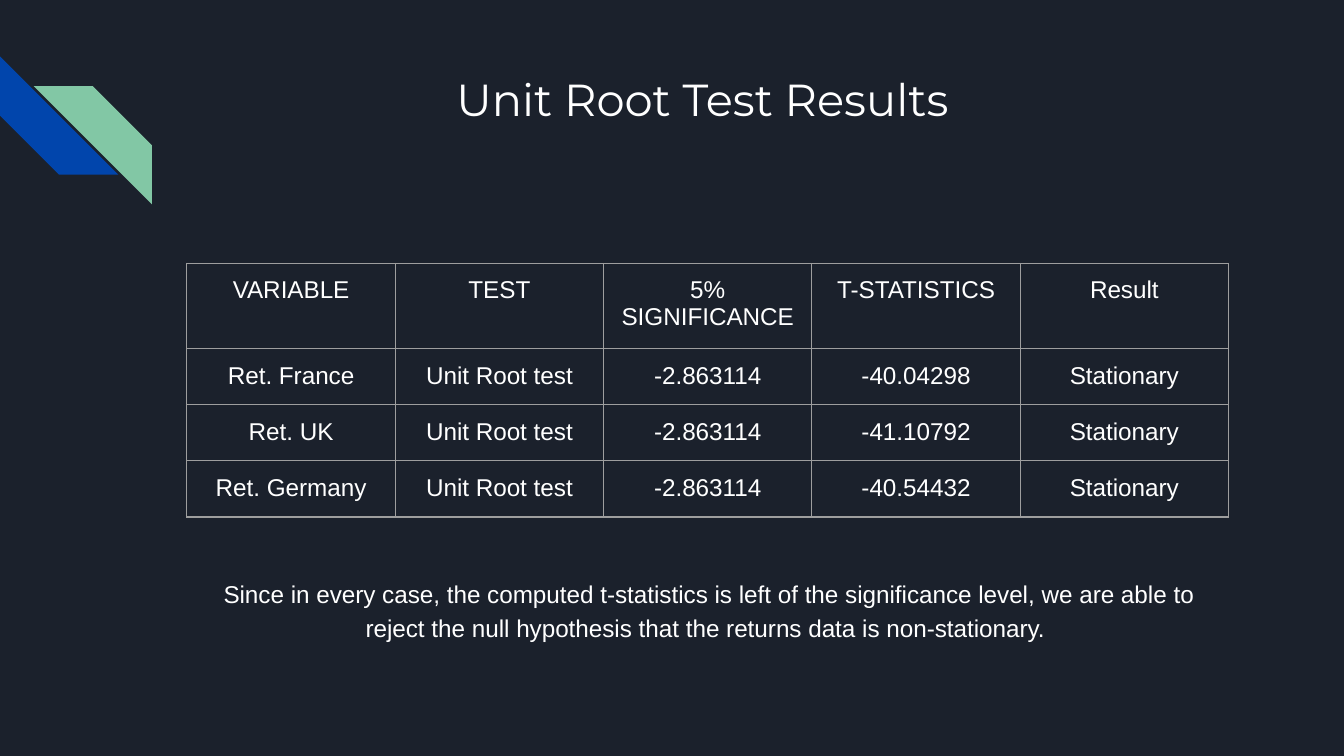
from lxml.etree import SubElement
from pptx import Presentation
from pptx.dml.color import RGBColor
from pptx.enum.shapes import MSO_SHAPE
from pptx.enum.text import MSO_ANCHOR, PP_ALIGN
from pptx.oxml.ns import qn
from pptx.util import Inches, Pt

THEME = {
    "background": "1B212C", "text": "FFFFFF", "grid": "9E9E9E",
    "blue": "0145AC", "green": "82C7A5",
    "title_font": "Montserrat", "body_font": "Arial",
    "title_size": 24, "body_size": 13, "grid_width": 0.75,
}


def write(tf, text, font=THEME["body_font"], size=THEME["body_size"],
          anchor=MSO_ANCHOR.TOP, spacing=None):
    """Fill a text frame with one centred paragraph."""
    tf.word_wrap = True
    tf.vertical_anchor = anchor
    tf.margin_left = tf.margin_right = tf.margin_top = tf.margin_bottom = Inches(0.1)
    p = tf.paragraphs[0]
    p.alignment = PP_ALIGN.CENTER
    p.line_spacing = spacing
    r = p.add_run()
    r.text = text
    r.font.name = font
    r.font.size = Pt(size)
    r.font.bold = False
    r.font.color.rgb = RGBColor.from_string(THEME["text"])


def set_borders(cell):
    tc_pr = cell._tc.get_or_add_tcPr()
    for side in ("a:lnL", "a:lnR", "a:lnT", "a:lnB"):
        ln = SubElement(tc_pr, qn(side), w=str(Pt(THEME["grid_width"])))
        fill = SubElement(ln, qn("a:solidFill"))
        SubElement(fill, qn("a:srgbClr"), val=THEME["grid"])


prs = Presentation()
prs.slide_width = Inches(10)
prs.slide_height = prs.slide_width * 9 // 16
s = prs.slides.add_slide(prs.slide_layouts[5])
s.background.fill.solid()
s.background.fill.fore_color.rgb = RGBColor.from_string(THEME["background"])

# Two interlocking corner stripes
stripe = Inches(0.88)
for left, top, turn, color in ((0, 0.42, 270, "blue"), (0.25, 0.64, 90, "green")):
    sp = s.shapes.add_shape(MSO_SHAPE.DIAGONAL_STRIPE, Inches(left), Inches(top), stripe, stripe)
    sp.rotation = turn
    sp.shadow.inherit = False
    sp.fill.solid()
    sp.fill.fore_color.rgb = RGBColor.from_string(THEME[color])
    sp.line.fill.background()

# Title and conclusion share one column
column_left, column_width = Inches(1.42), Inches(7.7)
title = s.shapes.title
title.left, title.top, title.width, title.height = column_left, Inches(0.43), column_width, Inches(1)
write(title.text_frame, "Unit Root Test Results ",
      font=THEME["title_font"], size=THEME["title_size"])

conclusion = s.shapes.add_textbox(column_left, Inches(1.71), column_width, Inches(3.17))
write(conclusion.text_frame,
      "Since in every case, the computed t-statistics is left of the significance level, "
      "we are able to reject the null hypothesis that the returns data is non-stationary. ",
      anchor=MSO_ANCHOR.BOTTOM, spacing=1.15)

# Test results
t_statistics = {"France": "-40.04298", "UK": "-41.10792", "Germany": "-40.54432"}
rows = [("VARIABLE", "TEST", "5% SIGNIFICANCE", "T-STATISTICS", "Result")]
rows += [(f"Ret. {country}", "Unit Root test", "-2.863114", value, "Stationary")
         for country, value in t_statistics.items()]
col_width, header_height, row_height = Inches(1.55), Inches(0.47), Inches(0.4)
frame = s.shapes.add_table(
    len(rows), len(rows[0]), Inches(1.39), Inches(1.96),
    col_width * len(rows[0]), header_height + row_height * len(t_statistics))
table = frame.table
table.first_row = table.horz_banding = False
for col in table.columns:
    col.width = col_width
for i, values in enumerate(rows):
    table.rows[i].height = row_height if i else header_height
    for j, value in enumerate(values):
        cell = table.cell(i, j)
        set_borders(cell)
        cell.fill.background()
        cell.margin_left = cell.margin_right = cell.margin_top = cell.margin_bottom = Inches(0.1)
        write(cell.text_frame, value)
frame.width = frame.height = Inches(3.28)

prs.save("out.pptx")
